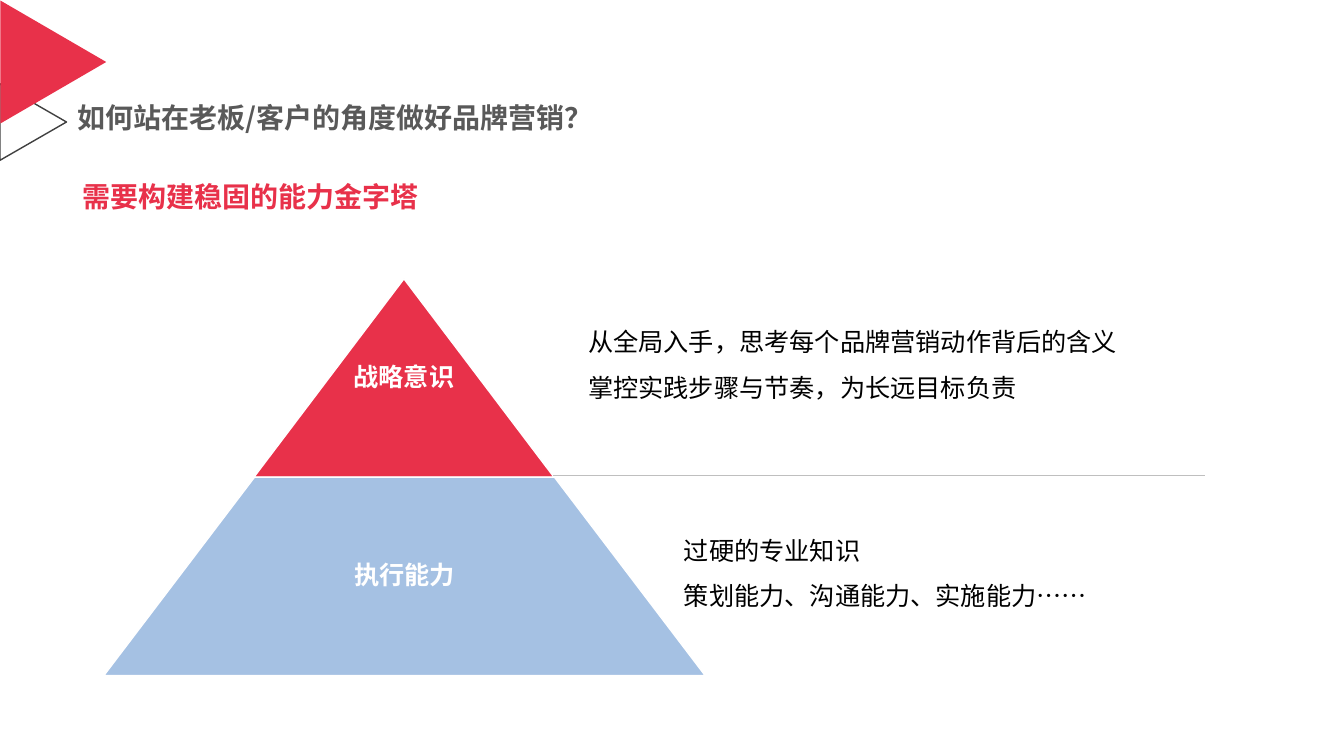
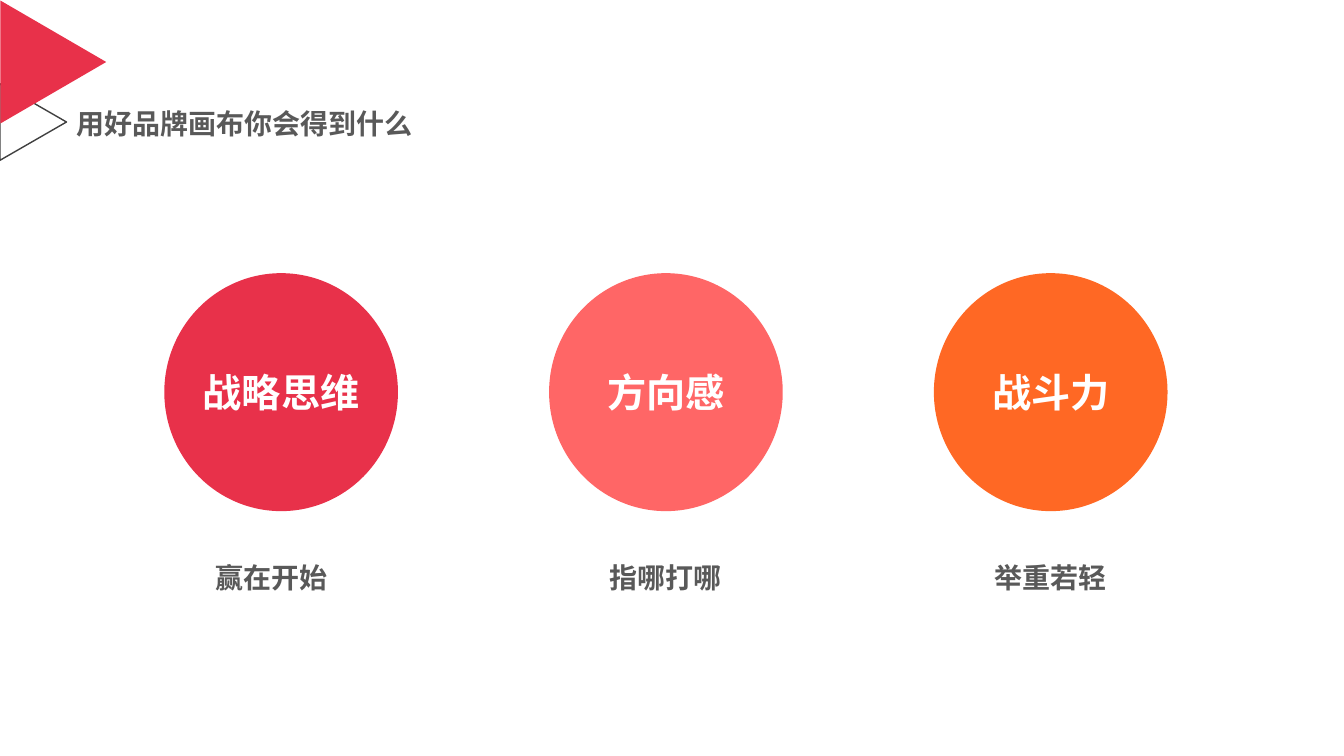
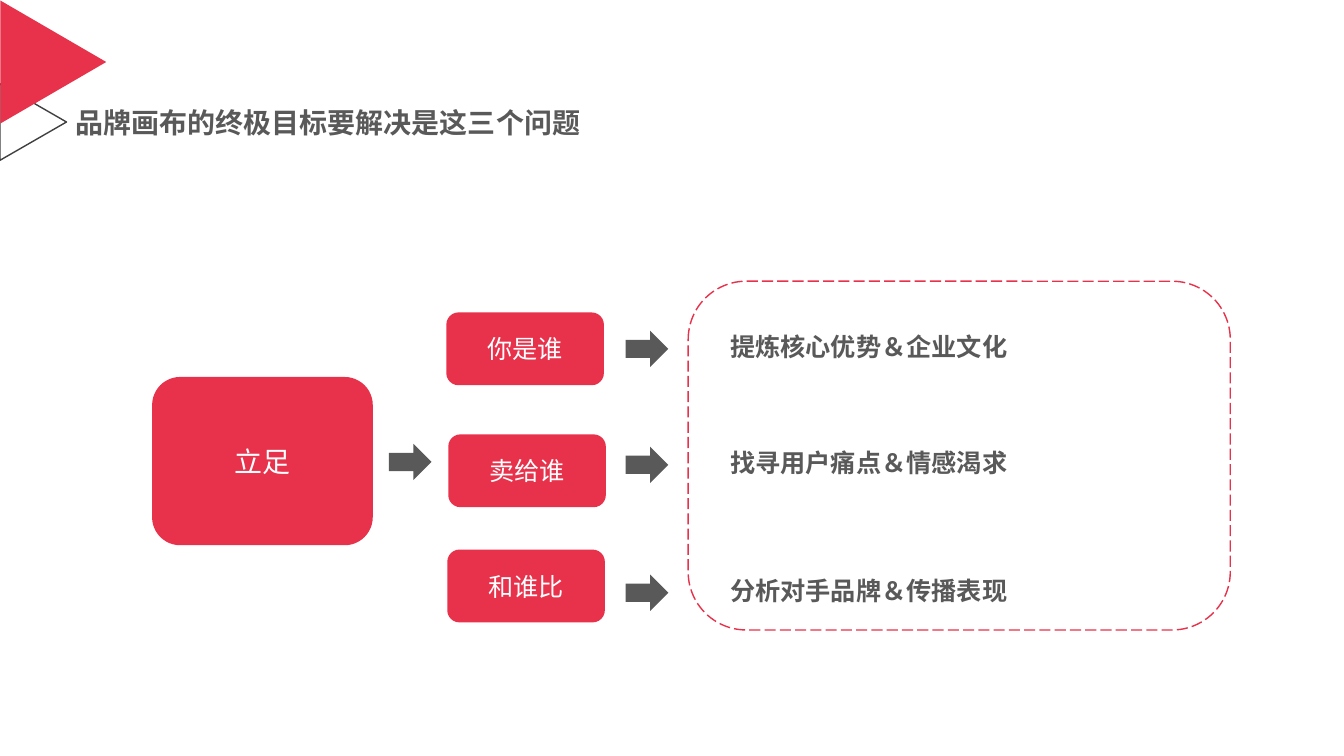
"""Build three brand marketing slides: ability pyramid, benefits, key questions."""
import lxml.etree
import pptx
import pptx.dml.color
import pptx.enum.dml
import pptx.enum.shapes
import pptx.enum.text
import pptx.oxml.ns
import pptx.util

Pt = pptx.util.Pt
SHAPE = pptx.enum.shapes.MSO_SHAPE
ALIGN = pptx.enum.text.PP_ALIGN
ANCHOR = pptx.enum.text.MSO_ANCHOR
qn = pptx.oxml.ns.qn
rgb = pptx.dml.color.RGBColor.from_string

FONT = "Noto Sans CJK SC"
COLORS = {
    "red": "E8314A", "coral": "FF6666", "orange": "FF6824", "blue": "A5C1E3",
    "gray": "595959", "outline": "404040", "rule": "BFBFBF",
    "white": "FFFFFF", "black": "000000",
}


def add_item(slide, kind, box, fill=None, line=None):
    """Add a preset shape, or a text box when kind is None; box is in points."""
    lengths = [Pt(value) for value in box]
    if kind is None:
        return slide.shapes.add_textbox(*lengths)
    shape = slide.shapes.add_shape(kind, *lengths)
    shape.shadow.inherit = False
    if fill:
        shape.fill.solid()
        shape.fill.fore_color.rgb = rgb(COLORS[fill])
    else:
        shape.fill.background()
    if line:
        shape.line.color.rgb = rgb(COLORS[line])
        shape.line.width = Pt(1)
    else:
        shape.line.fill.background()
    return shape


def write_text(shape, text, size=18, color="gray", bold=False, align=ALIGN.LEFT,
               anchor=ANCHOR.TOP, spacing=1.0, insets=(7.2, 3.6, 7.2, 3.6), wrap=True):
    """Fill a shape with one paragraph per line of text."""
    frame = shape.text_frame
    frame.word_wrap = wrap
    frame.vertical_anchor = anchor
    frame.margin_left, frame.margin_top, frame.margin_right, frame.margin_bottom = map(Pt, insets)
    frame.text = text
    for paragraph in frame.paragraphs:
        paragraph.alignment = align
        paragraph.line_spacing = spacing
        for run in paragraph.runs:
            run.font.name = FONT
            run.font.size = Pt(size)
            run.font.bold = bold
            run.font.color.rgb = rgb(COLORS[color])
    for properties in shape.element.iter(qn("a:rPr")):
        lxml.etree.SubElement(properties, qn("a:ea"), typeface=FONT)


presentation = pptx.Presentation()
presentation.slide_width = Pt(960.48)
presentation.slide_height = Pt(540)
layout = presentation.slide_layouts[6]
for placeholder in list(layout.placeholders):
    layout.shapes.element.remove(placeholder.element)

titles = [
    ("如何站在老板/客户的角度做好品牌营销？", 51.8, 71.3),
    ("用好品牌画布你会得到什么", 51.1, 74.9),
    ("品牌画布的终极目标要解决是这三个问题", 50.4, 74.2),
]
slides = []
for title, left, top in titles:
    slide = presentation.slides.add_slide(layout)
    write_text(add_item(slide, None, (left, top, 600, 33.2)), title, size=20, bold=True,
               spacing=0.9, insets=(3.6, 3.6, 3.6, 3.6))
    slides.append(slide)
pyramid_slide, benefit_slide, question_slide = slides

corner_triangles = [
    ((-3.6, 63.4, 54.7, 47.5), None, "outline"),
    ((-5.8, 6.5, 87.8, 75.6), "red", None),
]
for box, fill, line in corner_triangles:
    triangle = add_item(pyramid_slide, SHAPE.ISOSCELES_TRIANGLE, box, fill, line)
    triangle.rotation = 90
    layout.shapes.element.append(triangle.element)

write_text(add_item(pyramid_slide, None, (49.7, 126, 864, 40)), "需要构建稳固的能力金字塔",
           size=20, color="red", bold=True, spacing=0.9, insets=(9.4, 5, 9.4, 5))
level_height = 141.8
pyramid_levels = [
    ("战略意识", 181.4, 199.2, 214.6, "red", level_height / 3),
    ("执行能力", 74.2, 340.8, 429.8, "blue", level_height / 6),
]
for label, left, top, width, fill, bottom_inset in pyramid_levels:
    level = add_item(pyramid_slide, SHAPE.TRAPEZOID, (left, top, width, level_height), fill, "white")
    level.adjustments[0] = 0.76
    write_text(level, label, color="white", bold=True, align=ALIGN.CENTER, anchor=ANCHOR.MIDDLE,
               spacing=0.9, insets=(0, 0, 0, bottom_inset), wrap=False)

divider = pyramid_slide.shapes.add_connector(
    pptx.enum.shapes.MSO_CONNECTOR.STRAIGHT, Pt(395.3), Pt(339.4), Pt(861.1), Pt(339.4))
divider.line.color.rgb = rgb(COLORS["rule"])
divider.line.width = Pt(0.5)
lxml.etree.SubElement(divider.element.spPr, qn("a:effectLst"))

level_notes = [
    ("从全局入手，思考每个品牌营销动作背后的含义\n掌控实践步骤与节奏，为长远目标负责", 413.3, 218.9),
    ("过硬的专业知识\n策划能力、沟通能力、实施能力……", 481.7, 367.9),
]
for note, left, top in level_notes:
    write_text(add_item(pyramid_slide, None, (left, top, 478, 69)), note, color="black", spacing=1.5)

benefits = [
    ("战略思维", "赢在开始", "red", 146.9),
    ("方向感", "指哪打哪", "coral", 428.6),
    ("战斗力", "举重若轻", "orange", 703.6),
]
for index, (label, caption, fill, caption_left) in enumerate(benefits):
    circle = add_item(benefit_slide, SHAPE.OVAL, (117.4 + 275 * index, 195.1, 167, 170), fill)
    write_text(circle, label, size=28, color="white", bold=True, align=ALIGN.CENTER,
               anchor=ANCHOR.MIDDLE, insets=(0, 0, 0, 1), wrap=False)
    write_text(add_item(benefit_slide, None, (caption_left, 396.7, 100, 36)), caption, size=20, bold=True)

base = add_item(question_slide, SHAPE.ROUNDED_RECTANGLE, (108.7, 269.3, 157.7, 120.2), "red")
write_text(base, "立足", size=20, color="white", align=ALIGN.CENTER, anchor=ANCHOR.MIDDLE)
add_item(question_slide, SHAPE.RIGHT_ARROW, (277.9, 317, 30.5, 26), "gray")
outcome_frame = add_item(question_slide, SHAPE.ROUNDED_RECTANGLE, (491.8, 200.9, 387.4, 249.1), line="red")
outcome_frame.line.dash_style = pptx.enum.dml.MSO_LINE.LONG_DASH

questions = [
    ("你是谁", "提炼核心优势＆企业文化", 319, 223.2, 236.2),
    ("卖给谁", "找寻用户痛点＆情感渴求", 320.4, 310.3, 319),
    ("和谁比", "分析对手品牌＆传播表现", 319.7, 392.6, 410.4),
]
for question, outcome, left, top, arrow_top in questions:
    card = add_item(question_slide, SHAPE.ROUNDED_RECTANGLE, (left, top, 112.6, 52), "red")
    write_text(card, question, color="white", align=ALIGN.CENTER, anchor=ANCHOR.MIDDLE)
    add_item(question_slide, SHAPE.RIGHT_ARROW, (447.1, arrow_top, 30.5, 26), "gray")
    write_text(add_item(question_slide, None, (514.8, arrow_top - 2.9, 360, 33)), outcome, bold=True)

presentation.save("out.pptx")
